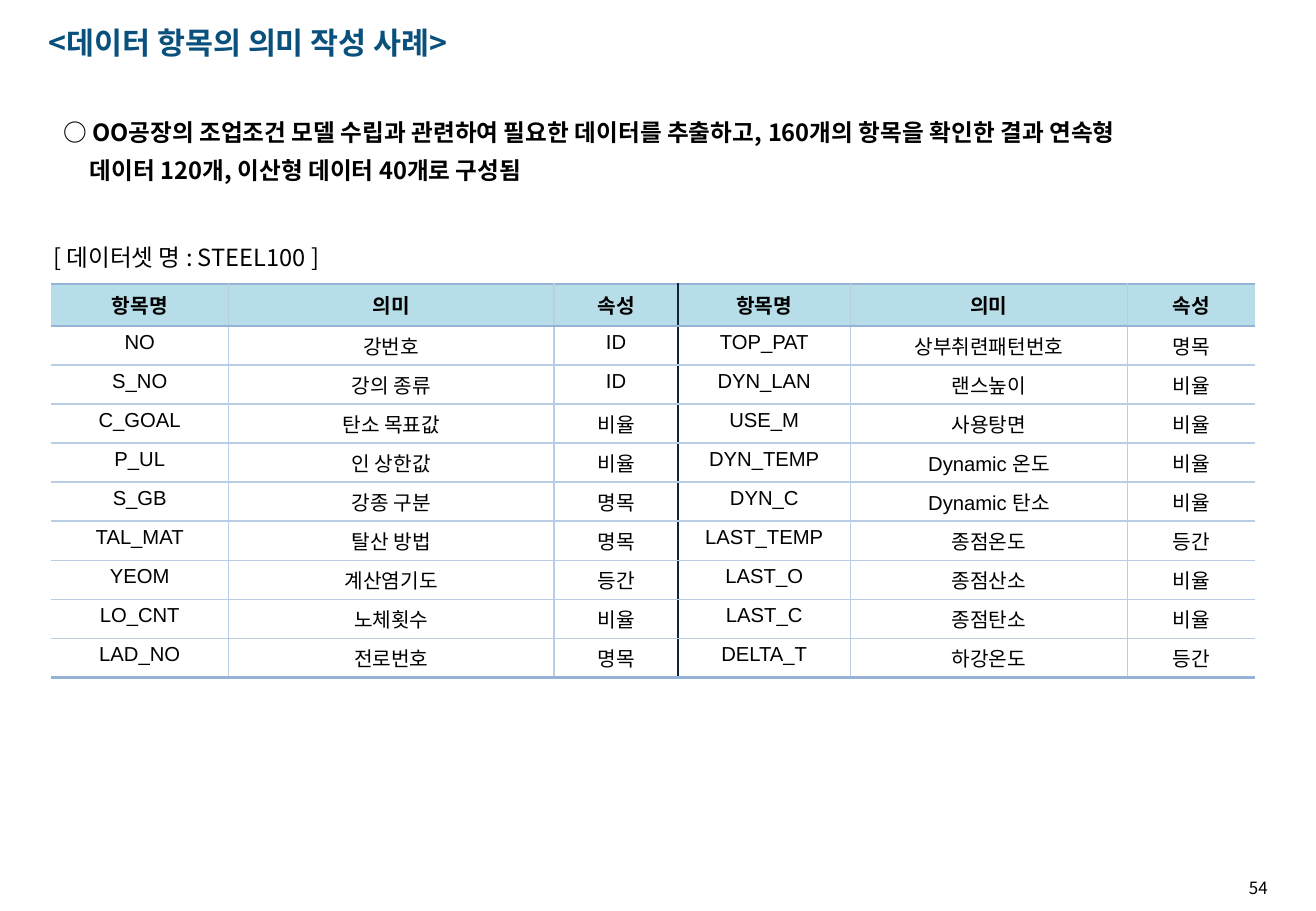
from lxml import etree
from pptx import Presentation
from pptx.dml.color import RGBColor
from pptx.enum.text import MSO_ANCHOR, MSO_AUTO_SIZE, PP_ALIGN
from pptx.oxml.ns import qn
from pptx.util import Inches, Pt

LEFT, CENTER, RIGHT = PP_ALIGN.LEFT, PP_ALIGN.CENTER, PP_ALIGN.RIGHT
TOP, MIDDLE = MSO_ANCHOR.TOP, MSO_ANCHOR.MIDDLE
NO_AUTOFIT = MSO_AUTO_SIZE.NONE

BLACK = RGBColor(0x00, 0x00, 0x00)
TITLE_BLUE = RGBColor(0x09, 0x50, 0x7D)
HEADER_FILL = RGBColor(0xB7, 0xDE, 0xE8)
RULE_STRONG = RGBColor(0x95, 0xB3, 0xD7)
RULE_LIGHT = RGBColor(0xB9, 0xCD, 0xE5)
DIVIDER = RGBColor(0x0F, 0x24, 0x3E)

TITLE = "<데이터 항목의 의미 작성 사례>"
SUMMARY = [
    "○ OO공장의 조업조건 모델 수립과 관련하여 필요한 데이터를 추출하고, 160개의 항목을 확인한 결과 연속형",
    "데이터 120개, 이산형 데이터 40개로 구성됨",
]
HEADER = ["항목명", "의미", "속성"] * 2
ITEMS = [
    ["NO", "강번호", "ID", "TOP_PAT", "상부취련패턴번호", "명목"],
    ["S_NO", "강의 종류", "ID", "DYN_LAN", "랜스높이", "비율"],
    ["C_GOAL", "탄소 목표값", "비율", "USE_M", "사용탕면", "비율"],
    ["P_UL", "인 상한값", "비율", "DYN_TEMP", "Dynamic 온도", "비율"],
    ["S_GB", "강종 구분", "명목", "DYN_C", "Dynamic 탄소", "비율"],
    ["TAL_MAT", "탈산 방법", "명목", "LAST_TEMP", "종점온도", "등간"],
    ["YEOM", "계산염기도", "등간", "LAST_O", "종점산소", "비율"],
    ["LO_CNT", "노체횟수", "비율", "LAST_C", "종점탄소", "비율"],
    ["LAD_NO", "전로번호", "명목", "DELTA_T", "하강온도", "등간"],
]


class SlideBuilder:
    """Style and current slide; lengths are in grid steps of a tenth of an inch."""

    korean_font = "Noto Sans CJK KR"
    table_font = "Arial"

    def __init__(self, slide):
        self.slide = slide

    def grid(self, steps):
        return Inches(steps / 10)

    def style(self, paragraph, size, font=korean_font, bold=False, color=BLACK, align=LEFT):
        paragraph.alignment = align
        paragraph.font.size = Pt(size)
        paragraph.font.bold = bold
        paragraph.font.color.rgb = color
        paragraph.font.name = font
        defaults = paragraph._p.pPr.find(qn("a:defRPr"))
        etree.SubElement(defaults, qn("a:ea"), typeface=self.korean_font)

    def fill_text(self, shape, box, lines, size, wrap=True, hanging=0, space=0, **style):
        shape.left, shape.top, shape.width, shape.height = map(self.grid, box)
        frame = shape.text_frame
        frame.text = "\n".join(lines)
        frame.word_wrap = wrap
        frame.auto_size = NO_AUTOFIT
        frame.vertical_anchor = TOP
        for index, paragraph in enumerate(frame.paragraphs):
            properties = paragraph._p.get_or_add_pPr()
            properties.set("marL", str(self.grid(hanging if index else 0)))
            properties.set("indent", "0")
            paragraph.space_before = Pt(space if index else 0)
            etree.SubElement(properties, qn("a:buNone"))
            self.style(paragraph, size, **style)

    def title(self, text, box, **style):
        self.fill_text(self.slide.shapes.title, box, [text], **style)

    def body(self, lines, box, **style):
        self.fill_text(self.slide.placeholders[1], box, lines, **style)

    def label(self, text, box, **style):
        shape = self.slide.shapes.add_textbox(0, 0, 0, 0)
        self.fill_text(shape, box, [text], **style)

    def border(self, cell, side, color, width):
        line = etree.SubElement(cell._tc.get_or_add_tcPr(), qn(f"a:ln{side}"), w=str(Pt(width)))
        if color is None:
            etree.SubElement(line, qn("a:noFill"))
        else:
            solid = etree.SubElement(line, qn("a:solidFill"))
            etree.SubElement(solid, qn("a:srgbClr"), val=str(color))

    def table(self, rows, box, column_widths, row_heights):
        shape = self.slide.shapes.add_table(len(rows), len(rows[0]), *map(self.grid, box))
        table = shape.table
        table.first_row = table.horz_banding = False
        for column, width in zip(table.columns, column_widths):
            column.width = self.grid(width)
        for row, height in zip(table.rows, row_heights):
            row.height = self.grid(height)

        # Rules between columns and between rows, outer edges included
        half = len(rows[0]) // 2
        vertical = [RULE_LIGHT] * (len(rows[0]) + 1)
        vertical[0] = vertical[-1] = None
        vertical[half] = DIVIDER
        horizontal = [(RULE_LIGHT, 1)] * (len(rows) + 1)
        for strong in (0, 1, -1):
            horizontal[strong] = (RULE_STRONG, 1.5)

        for r, texts in enumerate(rows):
            for c, text in enumerate(texts):
                cell = table.cell(r, c)
                cell.text = text
                is_header = r == 0
                self.style(cell.text_frame.paragraphs[0], 12, font=self.table_font,
                           bold=is_header, align=CENTER)
                self.border(cell, "L", vertical[c], 1)
                self.border(cell, "R", vertical[c + 1], 1)
                self.border(cell, "T", *horizontal[r])
                self.border(cell, "B", *horizontal[r + 1])
                if is_header:
                    cell.vertical_anchor = MIDDLE
                    cell.fill.solid()
                    cell.fill.fore_color.rgb = HEADER_FILL
                else:
                    cell.margin_left = cell.margin_right = self.grid(0.4)
                    cell.margin_top = cell.margin_bottom = self.grid(0.4)
                    cell.fill.background()


def main():
    presentation = Presentation()
    presentation.slide_width = Inches(10.83)
    presentation.slide_height = Inches(7.5)
    builder = SlideBuilder(presentation.slides.add_slide(presentation.slide_layouts[1]))

    # Heading and summary
    builder.title(TITLE, (3, 1.5, 37.3, 4), size=18, wrap=False, bold=True, color=TITLE_BLUE)
    builder.body(SUMMARY, (4.2, 9.2, 105.1, 6.6), size=14, bold=True, hanging=2.2, space=6)

    # Data set items
    builder.table([HEADER] + ITEMS, (4.2, 23.4, 99.1, 28.1),
                  column_widths=[14.6, 26.8, 10.2, 14.2, 22.8, 10.5],
                  row_heights=[2.4] + [2.8] * len(ITEMS))
    builder.label("[ 데이터셋 명 : STEEL100 ]", (3.4, 19.5, 25.7, 3.4), size=14, wrap=False)

    # Page number
    builder.label("54", (101.4, 71.8, 3.9, 2.7), size=10, align=RIGHT)

    presentation.save("out.pptx")


if __name__ == "__main__":
    main()
